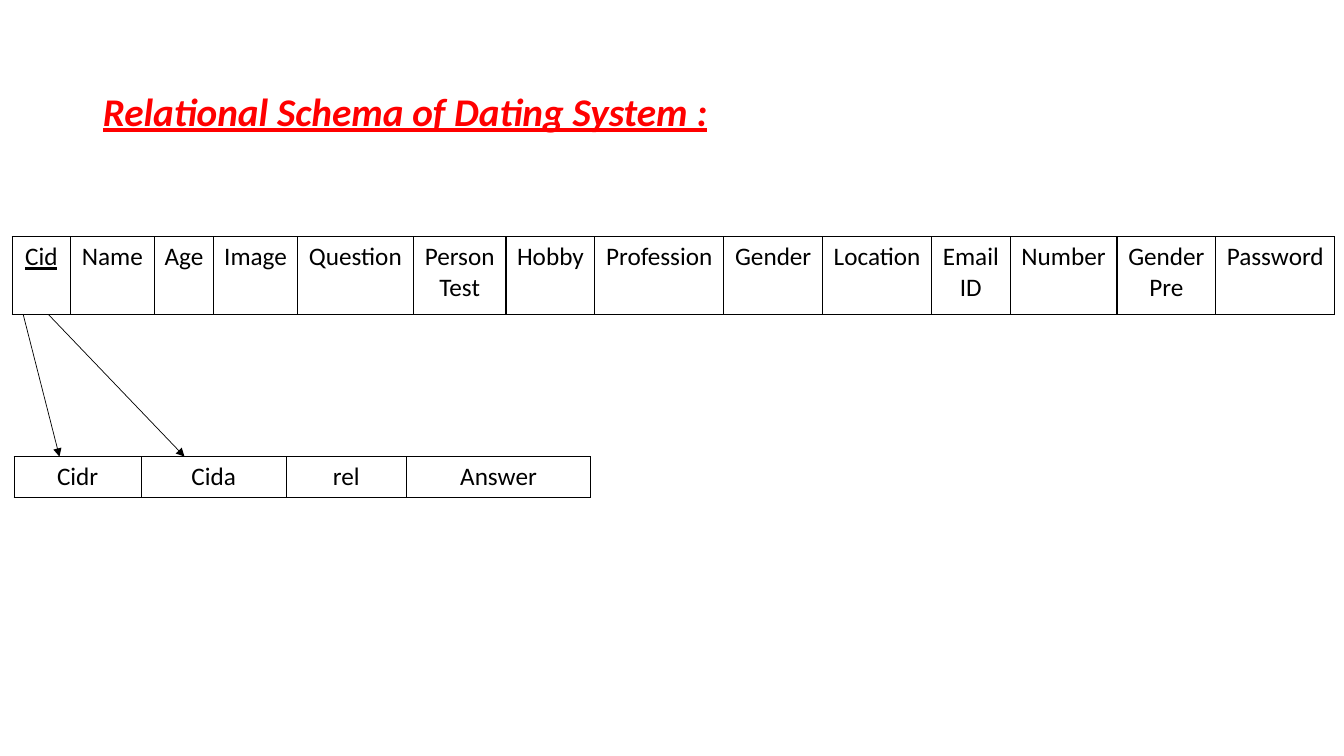
from dataclasses import dataclass

from lxml.etree import SubElement
from pptx import Presentation
from pptx.dml.color import RGBColor
from pptx.enum.shapes import MSO_CONNECTOR as Connector
from pptx.enum.text import MSO_ANCHOR as Anchor, MSO_AUTO_SIZE as AutoSize, PP_ALIGN as Align
from pptx.oxml import parse_xml
from pptx.oxml.ns import nsdecls, qn
from pptx.util import Inches, Pt

BLACK = "000000"
RED = "FF0000"


@dataclass(frozen=True)
class Attribute:
    name: str
    width: float
    key: bool = False


@dataclass(frozen=True)
class Relation:
    left: float
    top: float
    height: float
    attributes: tuple[Attribute, ...]


@dataclass(frozen=True)
class Reference:
    start: tuple[float, float]
    end: tuple[float, float]


CUSTOMER = Relation(0.12, 2.35, 0.77, (
    Attribute("Cid", 0.58, key=True),
    Attribute("Name", 0.83),
    Attribute("Age", 0.59),
    Attribute("Image", 0.83),
    Attribute("Question", 1.15),
    Attribute("Person\nTest", 0.92),
    Attribute("Hobby", 0.88),
    Attribute("Profession", 1.28),
    Attribute("Gender", 0.98),
    Attribute("Location", 1.08),
    Attribute("Email\nID", 0.78),
    Attribute("Number", 1.06),
    Attribute("Gender\nPre", 0.98),
    Attribute("Password", 1.18),
))
ANSWER = Relation(0.14, 4.53, 0.4, (
    Attribute("Cidr", 1.26),
    Attribute("Cida", 1.44),
    Attribute("rel", 1.19),
    Attribute("Answer", 1.83),
))
REFERENCES = (
    Reference((0.23, 3.12), (0.59, 4.53)),
    Reference((0.48, 3.12), (1.83, 4.53)),
)


def rgb(value: str) -> RGBColor:
    return RGBColor.from_string(value)


def write(frame, text: str, *, size: float = 18, color: str = BLACK,
          bold: bool = False, italic: bool = False, underline: bool = False,
          align: Align = Align.CENTER, spacing: float = 1.0) -> None:
    frame.text = text
    for paragraph in frame.paragraphs:
        paragraph.alignment = align
        paragraph.line_spacing = spacing
        for run in paragraph.runs:
            font = run.font
            font.name = "Calibri"
            font.size = Pt(size)
            font.bold, font.italic, font.underline = bold, italic, underline
            font.color.rgb = rgb(color)


def add_borders(cell) -> None:
    properties = cell._tc.get_or_add_tcPr()
    for index, side in enumerate(("lnL", "lnR", "lnT", "lnB")):
        properties.insert(index, parse_xml(
            f'<a:{side} {nsdecls("a")} w="{Pt(1)}"><a:solidFill>'
            f'<a:srgbClr val="{BLACK}"/></a:solidFill></a:{side}>'))


def draw_relation(slide, relation: Relation) -> None:
    attributes = relation.attributes
    table = slide.shapes.add_table(
        1, len(attributes), Inches(relation.left), Inches(relation.top),
        Inches(sum(attribute.width for attribute in attributes)),
        Inches(relation.height)).table
    table.first_row = table.horz_banding = False
    for column, cell, attribute in zip(table.columns, table.rows[0].cells, attributes):
        column.width = Inches(attribute.width)
        write(cell.text_frame, attribute.name, underline=attribute.key)
        cell.fill.background()
        add_borders(cell)


def draw_reference(slide, reference: Reference) -> None:
    arrow = slide.shapes.add_connector(
        Connector.STRAIGHT, *map(Inches, reference.start + reference.end))
    arrow.line.color.rgb = rgb(BLACK)
    arrow.line.width = Pt(0.5)
    SubElement(arrow.line._get_or_add_ln(), qn("a:tailEnd"), type="triangle")
    SubElement(arrow._element.spPr, qn("a:effectLst"))


def draw_title(slide, text: str) -> None:
    title = slide.shapes.title
    title.left, title.top, title.width, title.height = map(Inches, (0.92, 0.4, 11.5, 1.45))
    title.text_frame.vertical_anchor = Anchor.MIDDLE
    title.text_frame.auto_size = AutoSize.NONE
    write(title.text_frame, text, size=28, color=RED, bold=True, italic=True,
          underline=True, align=Align.LEFT, spacing=0.9)


def main() -> None:
    deck = Presentation()
    deck.slide_width, deck.slide_height = Inches(13.33), Inches(7.5)
    slide = deck.slides.add_slide(deck.slide_layouts.get_by_name("Title Only"))
    draw_title(slide, "Relational Schema of Dating System :")
    for relation in (CUSTOMER, ANSWER):
        draw_relation(slide, relation)
    for reference in REFERENCES:
        draw_reference(slide, reference)
    deck.save("out.pptx")


if __name__ == "__main__":
    main()
